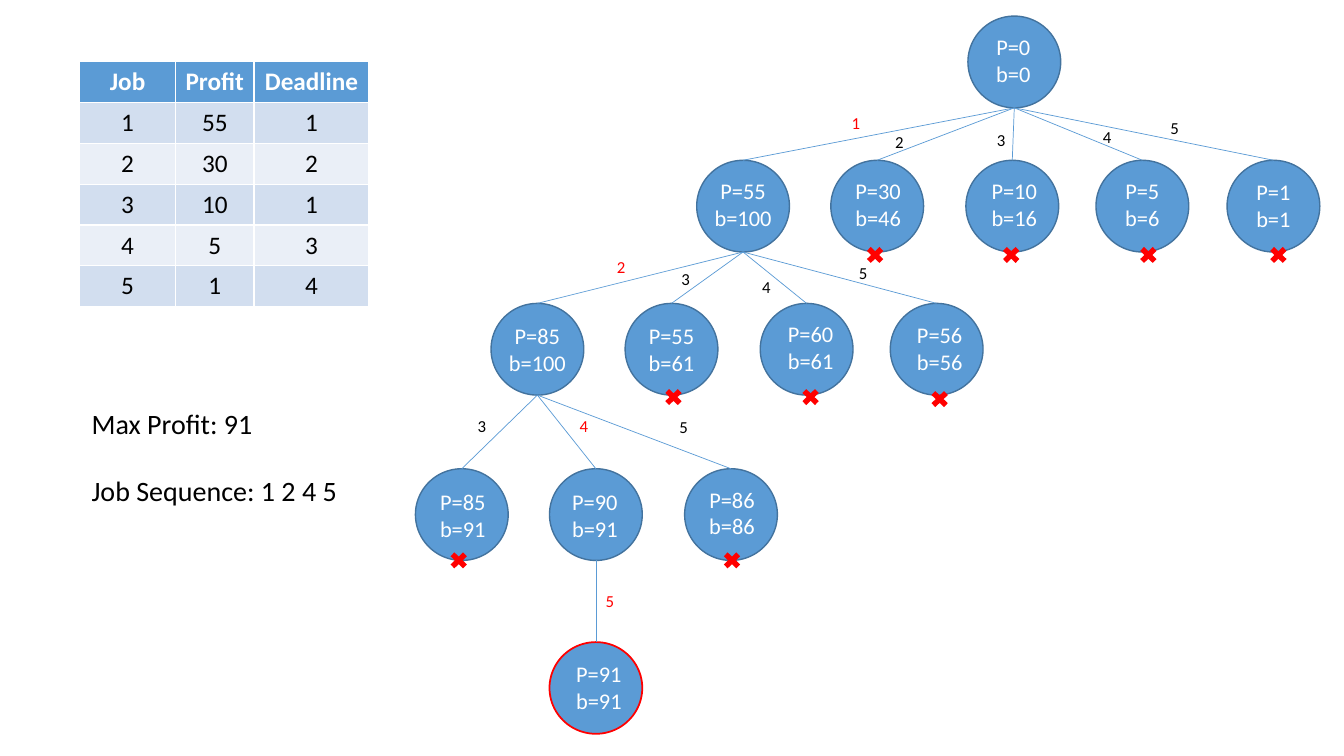
from lxml import etree
from pptx import Presentation
from pptx.dml.color import RGBColor
from pptx.enum.shapes import MSO_CONNECTOR, MSO_SHAPE
from pptx.enum.text import MSO_AUTO_SIZE, PP_ALIGN
from pptx.oxml.ns import qn
from pptx.util import Inches, Pt

CENTER, LEFT = PP_ALIGN.CENTER, PP_ALIGN.LEFT
FIT_SHAPE = MSO_AUTO_SIZE.SHAPE_TO_FIT_TEXT
OVAL, CROSS = MSO_SHAPE.OVAL, MSO_SHAPE.MATH_MULTIPLY
STRAIGHT = MSO_CONNECTOR.STRAIGHT
BLUE, DARK_BLUE, RED = "5B9BD5", "43739E", "FF0000"
WHITE, BLACK = "FFFFFF", "000000"
BANDS = ["D2DEEF", "EAEFF7"]

JOBS = [
    ("Job", "Profit", "Deadline"),
    (1, 55, 1),
    (2, 30, 2),
    (3, 10, 1),
    (4, 5, 3),
    (5, 1, 4),
]
COLUMN_WIDTHS = [0.95, 0.78, 1.14]
CELL_SIDE_MARGIN = 0.08
ROW_HEIGHT = 0.4
RESULT = "Max Profit: 91\nJob Sequence: 1 2 4 5"

# Each level: circle top, centre of its first circle, nodes.
# Each node: profit, bound, job, then offsets from the circle's top centre:
# job label centre, node text top, cross centre (None keeps the branch open).
LEVELS = [
    (0.16, 10.06, [(0, 0, None, None, (-0.01, 0.12), None)]),
    (1.59, 7.37, [
        (55, 100, 1, (1.12, -0.37), (0, 0.12), None),
        (30, 46, 2, (0.22, -0.18), (0.01, 0.12), (-0.02, 0.94)),
        (10, 16, 3, (-0.11, -0.2), (0.02, 0.12), (-0.01, 0.94)),
        (5, 6, 4, (-0.35, -0.23), (0, 0.12), (0.06, 0.94)),
        (1, 1, 5, (-0.98, -0.32), (0, 0.13), (0.05, 0.94)),
    ]),
    (3.01, 5.33, [
        (85, 100, 2, (0.83, -0.36), (0, 0.14), None),
        (55, 61, 3, (0.14, -0.24), (0, 0.14), (0.02, 0.93)),
        (60, 61, 4, (-0.4, -0.16), (0.04, 0.12), (0.04, 0.93)),
        (56, 56, 5, (-0.73, -0.3), (0.03, 0.13), (0.03, 0.95)),
    ]),
    (4.65, 4.58, [
        (85, 91, 3, (0.2, -0.42), (0.01, 0.14), (-0.03, 0.91)),
        (90, 91, 4, (-0.12, -0.42), (-0.01, 0.14), None),
        (86, 86, 5, (-0.47, -0.41), (0.01, 0.12), (0.01, 0.91)),
    ]),
    (6.37, 5.91, [(91, 91, 5, (0.14, -0.41), (0.03, 0.13), None)]),
]
SIBLING_OFFSETS = [0, 1.33, 2.67, 3.96, 5.26]
CIRCLE_WIDTH, CIRCLE_HEIGHT = 0.92, 0.91
CROSS_WIDTH, CROSS_HEIGHT = 0.24, 0.23
LABEL_WIDTH, LABEL_HEIGHT = 0.29, 0.3
NODE_TEXT_WIDTH, NODE_TEXT_HEIGHT = 0.77, 0.64


def color(value):
    return RGBColor.from_string(value)


def write(frame, text, size=18, fill=BLACK, bold=False, align=CENTER, gap=0):
    for index, line in enumerate(text.split("\n")):
        paragraph = frame.add_paragraph() if index else frame.paragraphs[0]
        paragraph.alignment = align
        if gap:
            paragraph.space_after = Pt(gap)
        run = paragraph.add_run()
        run.text = line
        run.font.name = "Calibri"
        run.font.size = Pt(size)
        run.font.bold = bold
        run.font.color.rgb = color(fill)


def add_text(slide, left, top, width, height, text, wrap=False, **text_format):
    box = slide.shapes.add_textbox(*map(Inches, (left, top, width, height)))
    box.text_frame.word_wrap = wrap
    box.text_frame.auto_size = FIT_SHAPE
    write(box.text_frame, text, **text_format)


def add_figure(slide, kind, center, top, width, height, fill, line=None, weight=1):
    box = map(Inches, (center - width / 2, top, width, height))
    shape = slide.shapes.add_shape(kind, *box)
    shape.shadow.inherit = False
    shape.fill.solid()
    shape.fill.fore_color.rgb = color(fill)
    if line:
        shape.line.color.rgb = color(line)
        shape.line.width = Pt(weight)
    else:
        shape.line.fill.background()
    return shape


def add_branch(slide, parent, child):
    start = (parent.left + parent.width // 2, parent.top + parent.height)
    branch = slide.shapes.add_connector(
        STRAIGHT, *start, child.left + child.width // 2, child.top)
    branch.end_connect(child, 0)
    branch.line.color.rgb = color(BLUE)
    branch.line.width = Pt(0.5)
    properties = branch.element.find(qn("p:spPr"))
    etree.SubElement(properties, qn("a:effectLst"))


def add_job_table(slide):
    size = sum(COLUMN_WIDTHS), ROW_HEIGHT * len(JOBS)
    table = slide.shapes.add_table(
        len(JOBS), len(COLUMN_WIDTHS), *map(Inches, (0.79, 0.61, *size))).table
    for column, width in zip(table.columns, COLUMN_WIDTHS):
        column.width = Inches(width)
    for row, values in enumerate(JOBS):
        header = row == 0
        for column, value in enumerate(values):
            cell = table.cell(row, column)
            cell.margin_left = cell.margin_right = Inches(CELL_SIDE_MARGIN)
            cell.fill.solid()
            cell.fill.fore_color.rgb = color(BLUE if header else BANDS[(row - 1) % 2])
            write(cell.text_frame, str(value), bold=header,
                  fill=WHITE if header else BLACK)


def add_tree(slide):
    """Draw each level below the one open node of the level above."""
    parent = None
    for level, (top, first_center, nodes) in enumerate(LEVELS):
        is_solution = level == len(LEVELS) - 1
        open_circle = None
        for offset, node in zip(SIBLING_OFFSETS, nodes):
            profit, bound, job, label, text, cross = node
            center = first_center + offset
            circle = add_figure(
                slide, OVAL, center, top, CIRCLE_WIDTH, CIRCLE_HEIGHT, BLUE,
                line=RED if is_solution else DARK_BLUE,
                weight=1.25 if is_solution else 1)
            add_text(slide, center + text[0] - NODE_TEXT_WIDTH / 2, top + text[1],
                     NODE_TEXT_WIDTH, NODE_TEXT_HEIGHT,
                     f"P={profit}\nb={bound}", size=16, fill=WHITE)
            if parent:
                add_branch(slide, parent, circle)
                add_text(slide, center + label[0] - LABEL_WIDTH / 2,
                         top + label[1] - LABEL_HEIGHT / 2, LABEL_WIDTH, LABEL_HEIGHT,
                         str(job), size=12, fill=BLACK if cross else RED)
            if cross:
                add_figure(slide, CROSS, center + cross[0],
                           top + cross[1] - CROSS_HEIGHT / 2,
                           CROSS_WIDTH, CROSS_HEIGHT, RED)
            else:
                open_circle = circle
        parent = open_circle


def main():
    presentation = Presentation()
    presentation.slide_width = Inches(13.33)
    presentation.slide_height = Inches(7.5)
    slide = presentation.slides.add_slide(presentation.slide_layouts[6])
    add_job_table(slide)
    add_text(slide, 0.81, 3.98, 3.18, 1.78, RESULT, wrap=True,
             size=20, align=LEFT, gap=24)
    add_tree(slide)
    presentation.save("out.pptx")


if __name__ == "__main__":
    main()
